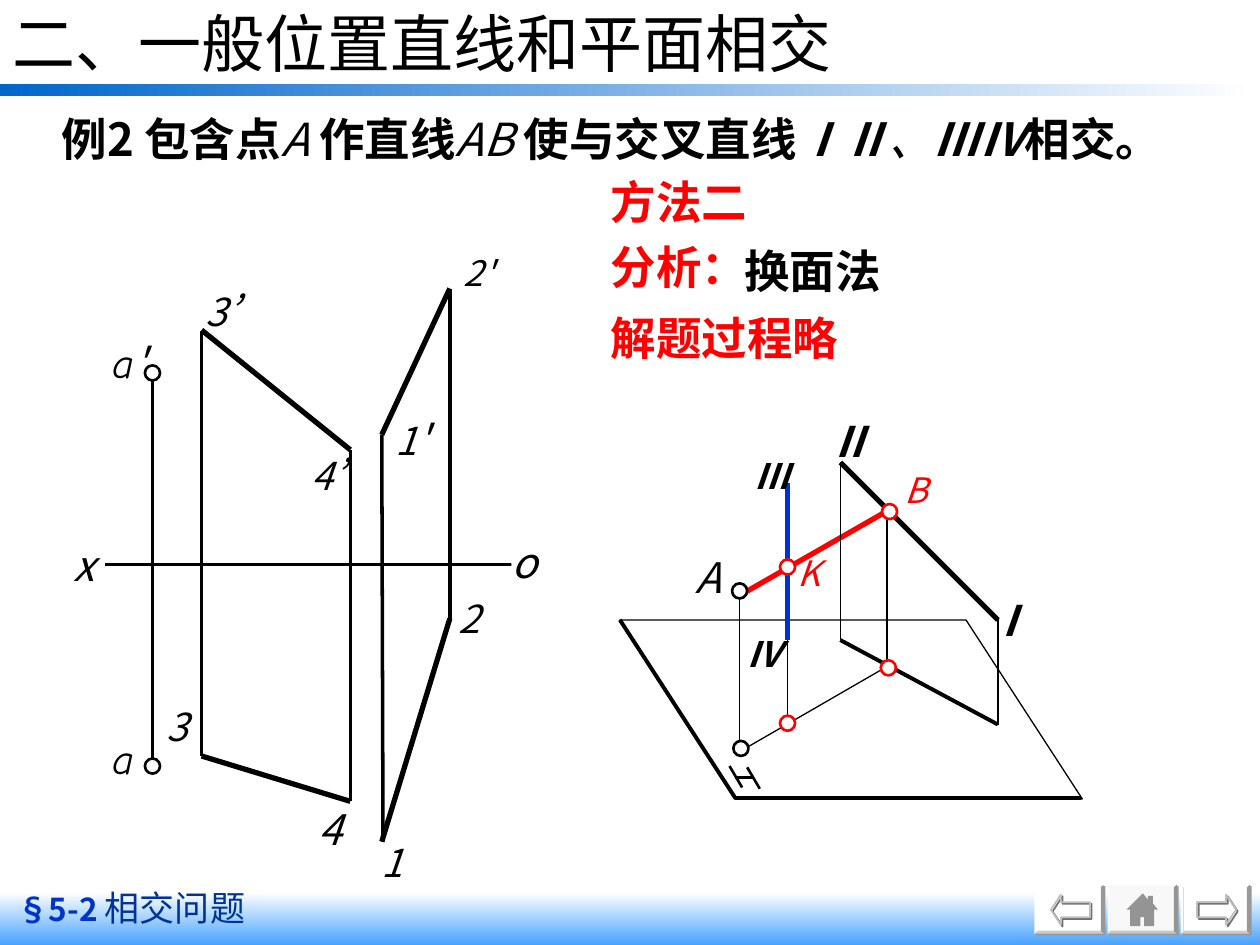
import pptx
import pptx.util
import pptx.dml.color
import pptx.enum.shapes
import pptx.enum.text
import pptx.oxml.ns
from lxml import etree

Inches, Pt = pptx.util.Inches, pptx.util.Pt
SHAPES = pptx.enum.shapes.MSO_SHAPE
COLORS = {"black": "000000", "white": "FFFFFF", "red": "FF0000", "blue": "0033CC",
          "navy": "003399", "bar": "0066CC", "footer": "47A3FF", "button": "F8F8F8",
          "arrow": "C0C0C0", "house": "949494", "shade": "989898", "arrow shade": "727272"}
SC, JP, COMIC = "Noto Sans CJK SC", "Noto Sans CJK JP", "Comic Neue"

# bands: left, top, width, height, first colour, last colour, angle
BANDS = [(0, 0.67, 9.96, 0.09, "bar", "white", 0),
         (0, 7.08, 10, 0.42, "white", "footer", 270)]

# lines: start x, start y, end x, end y, width, colour
PROJECTION_LINES = [
    (1.6, 2.62, 2.78, 3.57, 3, "black"), (3.57, 2.29, 3.03, 3.45, 3, "black"),
    (3.03, 6.68, 3.57, 4.91, 3, "black"), (1.6, 6, 2.78, 6.36, 3, "black"),
    (0.83, 4.48, 4.34, 4.48, 0, "black"), (1.21, 2.98, 1.21, 6.09, 0, "black"),
    (3.03, 3.45, 3.04, 6.68, 0, "black"), (2.78, 3.57, 2.78, 6.36, 0, "black"),
    (1.6, 2.63, 1.6, 6, 0, "black"), (3.57, 4.91, 3.57, 2.29, 0, "black")]
SPACE_LINES = [
    (5.88, 5.96, 7.04, 5.29, 0.75, "black"), (5.88, 4.72, 7.05, 4.05, 3, "red"),
    (7.04, 5.29, 7.04, 4.04, 0.75, "black"), (6.67, 5.08, 6.67, 3.67, 0.75, "black"),
    (7.92, 5.75, 7.92, 4.9, 0.75, "black"), (6.25, 4.58, 6.25, 5.75, 0.75, "black"),
    (6.67, 5.08, 7.92, 5.75, 2.25, "black"), (6.67, 3.67, 7.92, 4.92, 3, "black"),
    (5.87, 5.96, 5.87, 4.71, 0.75, "black"), (5.83, 6.33, 8.58, 6.33, 2.25, "black"),
    (4.92, 4.92, 5.84, 6.34, 2.25, "black"), (6.25, 3.83, 6.25, 5.08, 3, "blue")]
LETTER_H_STROKES = [
    (5.79, 6.08, 5.89, 6.25, 1.5, "black"), (5.93, 6.09, 6.03, 6.26, 1.5, "black"),
    (5.83, 6.17, 5.98, 6.17, 1.5, "black")]

POINT_SIZE = 0.12
POINTS = [(1.15, 2.9, "black"), (1.15, 6.02, "black"), (5.81, 4.63, "black"),
          (5.82, 5.88, "black"), (6.19, 5.68, "red"), (6.99, 5.24, "red"),
          (7, 4, "red"), (6.19, 4.44, "red")]

# labels: left, top, width, height, runs of (text, size, font)
TIGHT_LABELS = [
    (2.47, 3.56, 0.45, 0.4, [("4", 22, JP), ("’", 24, JP)]),
    (0.89, 5.81, 0.53, 0.4, [("a", 24, COMIC)]),
    (3.68, 2, 0.6, 0.33, [("2'", 20, JP)]),
    (3.14, 3.28, 0.5, 0.4, [("1", 22, JP), ("'", 24, JP)]),
    (0.89, 2.67, 0.55, 0.4, [("a", 24, COMIC), ("'", 24, JP)]),
    (0.58, 4.28, 0.42, 0.4, [("x", 24, JP)]),
    (4.06, 4.26, 0.4, 0.4, [("o", 24, JP)]),
    (1.63, 2.26, 0.45, 0.4, [("3", 22, JP), ("’", 24, JP)])]
# labels: text, left, top, width, height, size, colour
POINT_LABELS = [
    ("1", 2.93, 6.61, 0.37, 0.47, 22, "black"), ("2", 3.54, 4.67, 0.5, 0.47, 22, "black"),
    ("4", 2.43, 6.33, 0.38, 0.5, 24, "black"), ("3", 1.22, 5.53, 0.5, 0.47, 22, "black"),
    ("A", 5.42, 4.33, 0.74, 0.5, 24, "black"), ("B", 7.08, 3.67, 0.67, 0.44, 20, "red"),
    ("K", 6.23, 4.33, 0.48, 0.44, 20, "red")]
ROMAN_LABELS = [
    ("Ⅰ", 7.75, 4.67, 0.53, 0.5, 24), ("Ⅱ", 6.48, 3.25, 0.4, 0.5, 24),
    ("Ⅲ", 5.89, 3.56, 0.36, 0.44, 20), ("Ⅳ", 5.83, 4.97, 0.36, 0.44, 20)]

# running text: place, paragraphs of runs (text, size, font, colour, bold, italic)
TEXTS = [
    ((0.04, 6.99, 4.67, 0.44), [[("§5-2 ", 18, SC, "blue", True, False),
                                 ("相交问题", 20, SC, "navy", False, False)]]),
    ((4.75, 1.33, 5.25, 1.06), [[("方法二", 26, SC, "red", True, False)],
                                [("分析：", 26, SC, "red", True, False)]]),
    ((5.81, 1.88, 2.03, 0.54), [[("换面法", 26, SC, "black", True, False)]]),
    ((4.75, 2.41, 5.25, 0.54), [[("解题过程略", 26, SC, "red", True, False)]]),
    ((0.39, 0.83, 10.12, 0.54), [[
        ("例2 包含点", 26, SC, "black", True, False), ("A ", 26, JP, "black", False, True),
        ("作直线", 26, SC, "black", True, False), ("AB ", 26, JP, "black", False, True),
        ("使与交叉直线", 26, SC, "black", True, False), ("ⅠⅡ", 26, SC, "black", True, True),
        ("、", 26, SC, "black", False, True), ("ⅢⅣ", 26, SC, "black", True, True),
        ("相交。", 26, SC, "black", True, False)]])]

BUTTON_LEFT, BUTTON_STEP, BUTTON_TOP = 8.21, 0.58, 7.02
ARROW_ROTATIONS = {0: 180, 2: 0}
HOUSE = [(9.07, 7.09), (9.11, 7.14), (9.11, 7.11), (9.15, 7.11), (9.15, 7.17),
         (9.19, 7.22), (9.16, 7.22), (9.16, 7.35), (9.08, 7.35), (9.08, 7.28),
         (9.05, 7.28), (9.05, 7.35), (8.97, 7.35), (8.97, 7.22), (8.94, 7.22)]


def rgb(name):
    return pptx.dml.color.RGBColor.from_string(COLORS[name])


def add_effects(shape):
    return etree.SubElement(shape._element.spPr, pptx.oxml.ns.qn("a:effectLst"))


def add_shadow(shape, color):
    """Give the shape a hard shadow towards the lower right."""
    shadow = etree.SubElement(add_effects(shape), pptx.oxml.ns.qn("a:outerShdw"),
                              dist=str(Pt(1.4)), dir="2700000", algn="ctr")
    etree.SubElement(shadow, pptx.oxml.ns.qn("a:srgbClr"), val=COLORS[color])


def style(shape, fill=None, line=None, width=0.75):
    if fill:
        shape.fill.solid()
        shape.fill.fore_color.rgb = rgb(fill)
    else:
        shape.fill.background()
    if line:
        shape.line.color.rgb = rgb(line)
        shape.line.width = Pt(width)
    else:
        shape.line.fill.background()


def add_shape(page, kind, place):
    return page.shapes.add_shape(kind, *map(Inches, place))


def add_line(page, x1, y1, x2, y2, width, color):
    line = page.shapes.add_connector(pptx.enum.shapes.MSO_CONNECTOR.STRAIGHT,
                                     *map(Inches, (x1, y1, x2, y2)))
    line.line.width = Pt(width)
    line.line.color.rgb = rgb(color)
    add_effects(line)


def add_run(para, text, size, font, color="black", bold=False, italic=False):
    run = para.add_run()
    run.text = text
    run.font.size, run.font.name = Pt(size), font
    run.font.bold, run.font.italic = bold, italic
    run.font.color.rgb = rgb(color)
    latin = run._r.rPr.find(pptx.oxml.ns.qn("a:latin"))
    latin.addnext(etree.Element(pptx.oxml.ns.qn("a:ea"), typeface=font))


def add_text(page, place, paragraphs, tight=False):
    box = page.shapes.add_textbox(*map(Inches, place))
    frame = box.text_frame
    frame.word_wrap = True
    frame.auto_size = pptx.enum.text.MSO_AUTO_SIZE.SHAPE_TO_FIT_TEXT
    if tight:
        frame.margin_left = frame.margin_right = frame.margin_top = frame.margin_bottom = 0
    for index, runs in enumerate(paragraphs):
        para = frame.add_paragraph() if index else frame.paragraphs[0]
        if index:
            para.line_spacing = 1.2
        for run in runs:
            add_run(para, *run)
    return box


def add_buttons(page):
    for index in range(3):
        left = BUTTON_LEFT + index * BUTTON_STEP
        button = add_shape(page, SHAPES.BEVEL, (left, BUTTON_TOP, 0.55, 0.39))
        button.adjustments[0] = 0.06
        style(button, "button" if index == 1 else "white")
        add_shadow(button, "shade")
        if index in ARROW_ROTATIONS:
            arrow = add_shape(page, SHAPES.RIGHT_ARROW, (left + 0.13, 7.1, 0.31, 0.24))
            arrow.adjustments[1] = 0.33
            arrow.rotation = ARROW_ROTATIONS[index]
            style(arrow, None, "arrow", 1)
            add_shadow(arrow, "arrow shade")
    corners = [(Inches(x), Inches(y)) for x, y in HOUSE]
    builder = page.shapes.build_freeform(*corners[0])
    builder.add_line_segments(corners[1:])
    house = builder.convert_to_shape()
    style(house, "house")
    house.shadow.inherit = False


def main():
    deck = pptx.Presentation()
    deck.slide_width, deck.slide_height = Inches(10), Inches(7.5)
    page = deck.slides.add_slide(deck.slide_layouts[5])

    for *place, first, last, angle in BANDS:
        band = add_shape(page, SHAPES.RECTANGLE, place)
        band.shadow.inherit = False
        band.line.fill.background()
        band.fill.gradient()
        band.fill.gradient_angle = angle
        for stop, color in zip(band.fill.gradient_stops, (first, last)):
            stop.color.rgb = rgb(color)

    title = page.shapes.title
    title.left, title.top, title.width, title.height = map(Inches, (0, 0, 8.5, 0.67))
    title.text_frame.vertical_anchor = pptx.enum.text.MSO_ANCHOR.MIDDLE
    title.text_frame.auto_size = pptx.enum.text.MSO_AUTO_SIZE.NONE
    heading = title.text_frame.paragraphs[0]
    heading.alignment = pptx.enum.text.PP_ALIGN.LEFT
    add_run(heading, "二、一般位置直线和平面相交", 36, "Roboto")

    plane = add_shape(page, SHAPES.PARALLELOGRAM, (4.92, 4.92, 3.67, 1.42))
    plane.adjustments[0] = 0.65
    plane._element.spPr.xfrm.set("flipH", "1")
    plane.shadow.inherit = False
    style(plane, None, "black")
    for line in PROJECTION_LINES + SPACE_LINES + LETTER_H_STROKES:
        add_line(page, *line)
    for left, top, color in POINTS:
        point = add_shape(page, SHAPES.OVAL, (left, top, POINT_SIZE, POINT_SIZE))
        point.shadow.inherit = False
        style(point, "white", color, 1.5)

    for *place, runs in TIGHT_LABELS:
        label = add_text(page, place, [[(*run, "black", False, True) for run in runs]], True)
        if runs[0][0] == "o":
            style(label, "white")
    for text, *place, size, color in POINT_LABELS:
        add_text(page, place, [[(text, size, JP, color, False, True)]])
    for text, *place, size in ROMAN_LABELS:
        add_text(page, place, [[(text, size, SC, "black", True, True)]])
    for place, paragraphs in TEXTS:
        add_text(page, place, paragraphs)
    add_buttons(page)
    deck.save("out.pptx")


if __name__ == "__main__":
    main()
